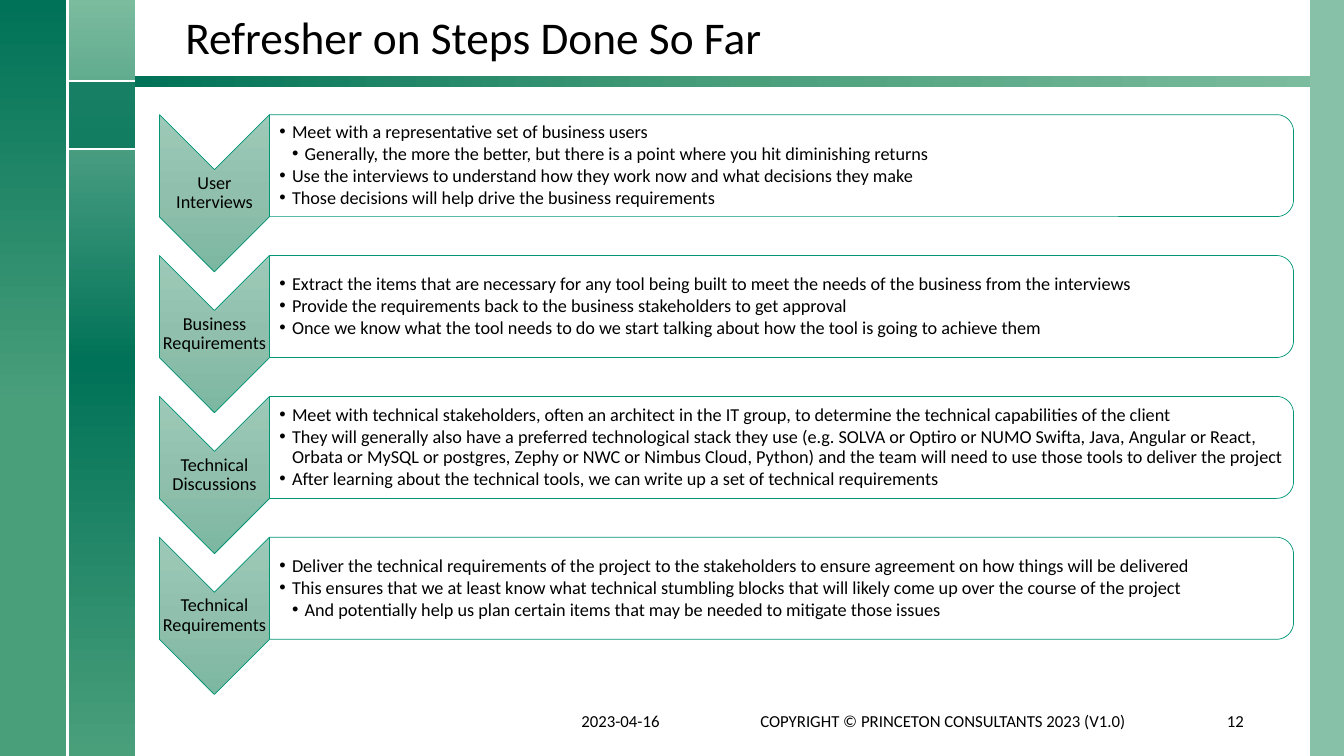
from math import cos, pi, sin

from lxml.etree import SubElement
from pptx import Presentation
from pptx.dml.color import RGBColor
from pptx.enum.shapes import MSO_CONNECTOR, MSO_SHAPE
from pptx.enum.text import MSO_ANCHOR, PP_ALIGN
from pptx.oxml.ns import qn
from pptx.util import Cm, Pt

FONT = "Calibri"
BLACK = RGBColor(0x00, 0x00, 0x00)
WHITE = RGBColor(0xFF, 0xFF, 0xFF)
DARK = RGBColor(0x00, 0x72, 0x57)
MEDIUM = RGBColor(0x4A, 0x9F, 0x7B)
LIGHT = RGBColor(0x7B, 0xBB, 0x9E)
OUTLINE = RGBColor(0x02, 0x96, 0x76)
CHEVRON_STOPS = [(0, RGBColor(0x9D, 0xCA, 0xB8)), (50, RGBColor(0x90, 0xC0, 0xAD)),
                 (100, RGBColor(0x7C, 0xB7, 0xA1))]

# Each step: label, then (level, text) bullets
STEPS = [
    ("User Interviews", [
        (0, "Meet with a representative set of business users"),
        (1, "Generally, the more the better, but there is a point where you hit "
            "diminishing returns"),
        (0, "Use the interviews to understand how they work now and what decisions they make"),
        (0, "Those decisions will help drive the business requirements"),
    ]),
    ("Business Requirements", [
        (0, "Extract the items that are necessary for any tool being built to meet the needs "
            "of the business from the interviews"),
        (0, "Provide the requirements back to the business stakeholders to get approval"),
        (0, "Once we know what the tool needs to do we start talking about how the tool is "
            "going to achieve them"),
    ]),
    ("Technical Discussions", [
        (0, "Meet with technical stakeholders, often an architect in the IT group, to "
            "determine the technical capabilities of the client"),
        (0, "They will generally also have a preferred technological stack they use (e.g. "
            "SOLVA or Optiro or NUMO Swifta, Java, Angular or React, Orbata or MySQL or "
            "postgres, Zephy or NWC or Nimbus Cloud, Python) and the team will need to use "
            "those tools to deliver the project"),
        (0, "After learning about the technical tools, we can write up a set of technical "
            "requirements"),
    ]),
    ("Technical Requirements", [
        (0, "Deliver the technical requirements of the project to the stakeholders to ensure "
            "agreement on how things will be delivered"),
        (0, "This ensures that we at least know what technical stumbling blocks that will "
            "likely come up over the course of the project"),
        (1, "And potentially help us plan certain items that may be needed to mitigate "
            "those issues"),
    ]),
]


def fill_solid(shape, color, opacity=100):
    shape.fill.solid()
    shape.fill.fore_color.rgb = color
    if opacity < 100:
        tint = shape.fill._xPr.find(qn("a:solidFill"))[0]
        SubElement(tint, qn("a:alpha"), val=str(opacity * 1000))


def fill_gradient(shape, stops, angle):
    """Fill with (percent, colour) stops, the angle running clockwise."""
    shape.fill.gradient()
    shape.fill.gradient_angle = (360 - angle) % 360
    stop_list = shape.fill._xPr.find(qn("a:gradFill")).find(qn("a:gsLst"))
    for stop in list(stop_list):
        stop_list.remove(stop)
    for percent, color in stops:
        stop = SubElement(stop_list, qn("a:gs"), pos=str(percent * 1000))
        SubElement(stop, qn("a:srgbClr"), val=str(color))


def set_frame(shape, anchor, insets):
    frame = shape.text_frame
    frame.word_wrap = True
    frame.vertical_anchor = anchor
    (frame.margin_left, frame.margin_top,
     frame.margin_right, frame.margin_bottom) = [Cm(inset) for inset in insets]
    return frame


def style_para(para, size, align=PP_ALIGN.LEFT, spacing=1.0):
    para.alignment = align
    para.line_spacing = spacing
    para.font.name = FONT
    para.font.size = Pt(size)
    para.font.color.rgb = BLACK


def add_band(page, left, top, width, height):
    band = page.shapes.add_shape(MSO_SHAPE.RECTANGLE, Cm(left), Cm(top), Cm(width), Cm(height))
    band.shadow.inherit = False
    band.line.fill.background()
    return band


def add_rule(page, x1, y1, x2, y2):
    rule = page.shapes.add_connector(MSO_CONNECTOR.STRAIGHT, Cm(x1), Cm(y1), Cm(x2), Cm(y2))
    rule.line.color.rgb = WHITE
    rule.line.width = Pt(1.5)
    SubElement(rule._element.spPr, qn("a:effectLst"))


def add_text(page, box, text, size, align=PP_ALIGN.LEFT, anchor=MSO_ANCHOR.MIDDLE, spacing=1.0):
    shape = page.shapes.add_textbox(*[Cm(length) for length in box])
    frame = set_frame(shape, anchor, (0.25, 0.13, 0.25, 0.13))
    frame.text = text
    style_para(frame.paragraphs[0], size, align, spacing)


def add_outline(page, points):
    """Closed outline through points given in centimetres."""
    corners = [(Cm(x), Cm(y)) for x, y in points]
    builder = page.shapes.build_freeform(*corners[0])
    builder.add_line_segments(corners[1:], close=True)
    shape = builder.convert_to_shape()
    shape.shadow.inherit = False
    shape.line.color.rgb = OUTLINE
    shape.line.width = Pt(0.5)
    return shape


def draw_frame(page, width, height):
    """Green bands along the left, right and top of the page."""
    column = 1.7
    right_band = 0.85
    fill_solid(add_band(page, width - right_band, 0, right_band, height), LIGHT, 90)
    fill_gradient(add_band(page, column, 0, column, height),
                  [(0, LIGHT), (48, DARK), (100, MEDIUM)], 90)
    fill_gradient(add_band(page, 0, 0, column, height),
                  [(0, MEDIUM), (46, MEDIUM), (100, DARK)], 270)
    square_top = 2.05
    fill_solid(add_band(page, column, square_top, column, column), DARK, 75)
    for y in (square_top, square_top + column):
        add_rule(page, column, y, 2 * column, y)
    add_rule(page, column, 0, column, height)
    fill_gradient(add_band(page, 2 * column, 1.91, width - right_band - 2 * column, 0.28),
                  [(0, LIGHT), (48, MEDIUM), (100, DARK)], 180)


def draw_chevron(page, left, top, width, height, label):
    notch = width / 2
    middle, right, bottom = left + notch, left + width, top + height
    chevron = add_outline(page, [(right, top), (right, bottom - notch), (middle, bottom),
                                 (left, bottom - notch), (left, top), (middle, top + notch)])
    fill_gradient(chevron, CHEVRON_STOPS, 90)
    frame = set_frame(chevron, MSO_ANCHOR.MIDDLE, (0.02, notch, 0.02, notch))
    frame.text = label
    style_para(frame.paragraphs[0], 13, PP_ALIGN.CENTER, 0.9)


def draw_panel(page, left, top, width, height, bullets):
    radius, steps = 0.43, 12
    right, bottom = left + width, top + height
    turns = [pi / 2 * step / steps for step in range(steps + 1)]
    upper = [(right - radius + radius * sin(turn), top + radius - radius * cos(turn))
             for turn in turns]
    lower = [(x, top + bottom - y) for x, y in reversed(upper)]
    panel = add_outline(page, [(left, top)] + upper + lower + [(left, bottom)])
    fill_solid(panel, WHITE, 90)
    frame = set_frame(panel, MSO_ANCHOR.MIDDLE, (0.25, 0.15, 0.15, 0.15))
    indent = Cm(0.32)
    for index, (level, text) in enumerate(bullets):
        para = frame.paragraphs[0] if index == 0 else frame.add_paragraph()
        para.text = text
        para.level = level
        props = para._p.get_or_add_pPr()
        props.set("marL", str(indent * (level + 1)))
        props.set("indent", str(-indent))
        SubElement(props, qn("a:buFont"), typeface="Arial")
        SubElement(props, qn("a:buChar"), char="•")
        style_para(para, 13, spacing=0.9)
        para.space_after = Pt(1.6)


def draw_steps(page, left, top, width):
    pitch, chevron_width, chevron_height, panel_height = 3.55, 2.77, 3.96, 2.57
    for index, (label, bullets) in enumerate(STEPS):
        row_top = top + index * pitch
        draw_chevron(page, left, row_top, chevron_width, chevron_height, label)
        draw_panel(page, left + chevron_width, row_top, width - chevron_width,
                   panel_height, bullets)


def draw_footer(page, top, height):
    add_text(page, (14.4, top, 3.38, height), "2023-04-16", 12)
    add_text(page, (18.19, top, 11.15, height),
             "COPYRIGHT © PRINCETON CONSULTANTS 2023 (V1.0)", 12, PP_ALIGN.CENTER)
    add_text(page, (29.9, top, 1.7, height), "12", 12, PP_ALIGN.RIGHT)


def main():
    width, height = 33.87, 19.05
    deck = Presentation()
    deck.slide_width, deck.slide_height = Cm(width), Cm(height)
    page = deck.slides.add_slide(deck.slide_layouts[6])
    draw_frame(page, width, height)
    add_text(page, (4.42, 0.2, 27.18, 1.55), "Refresher on Steps Done So Far", 32.4,
             anchor=MSO_ANCHOR.BOTTOM, spacing=0.9)
    draw_steps(page, 4.02, 2.89, 28.58)
    draw_footer(page, 17.65, 1.02)
    deck.save("out.pptx")


if __name__ == "__main__":
    main()
